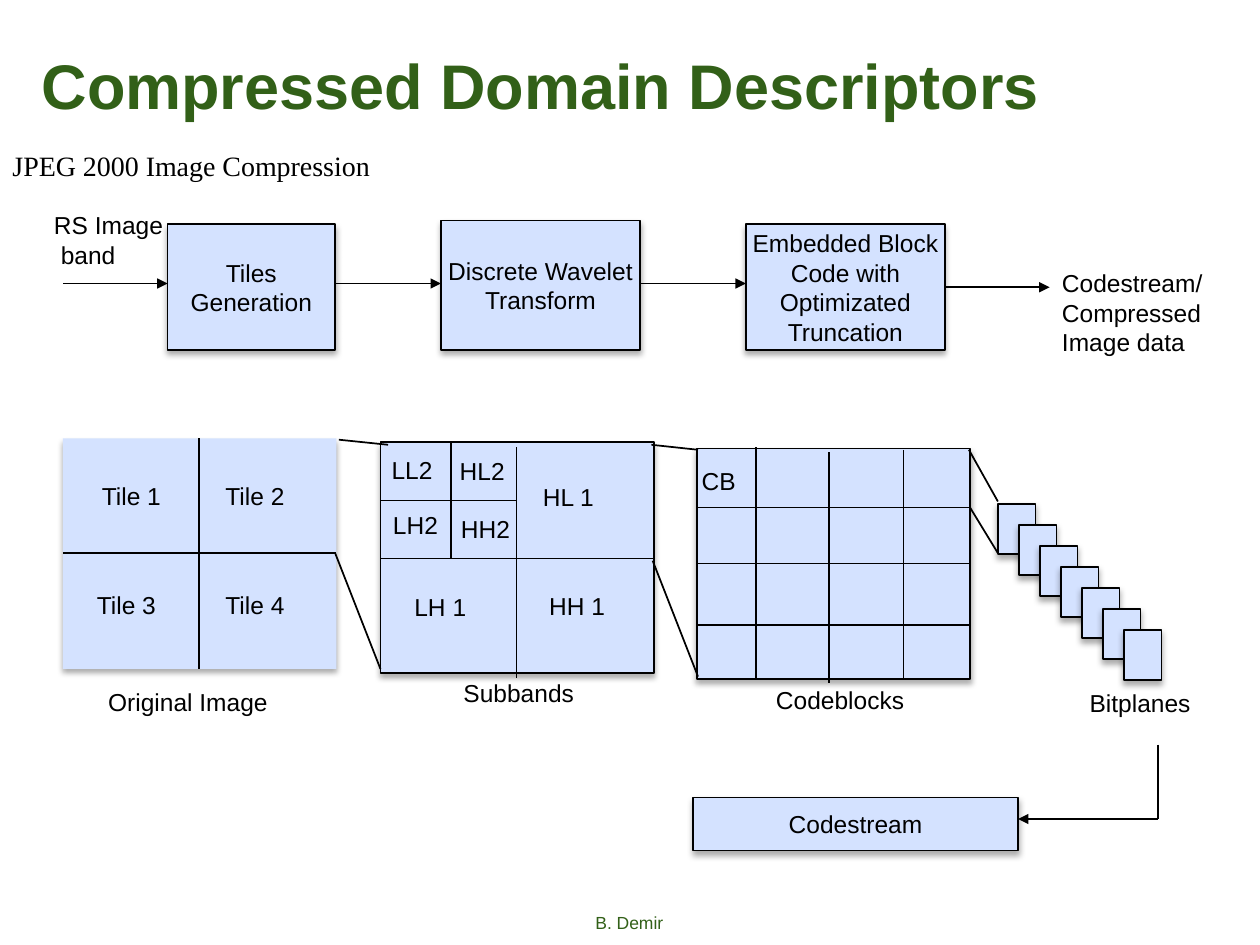
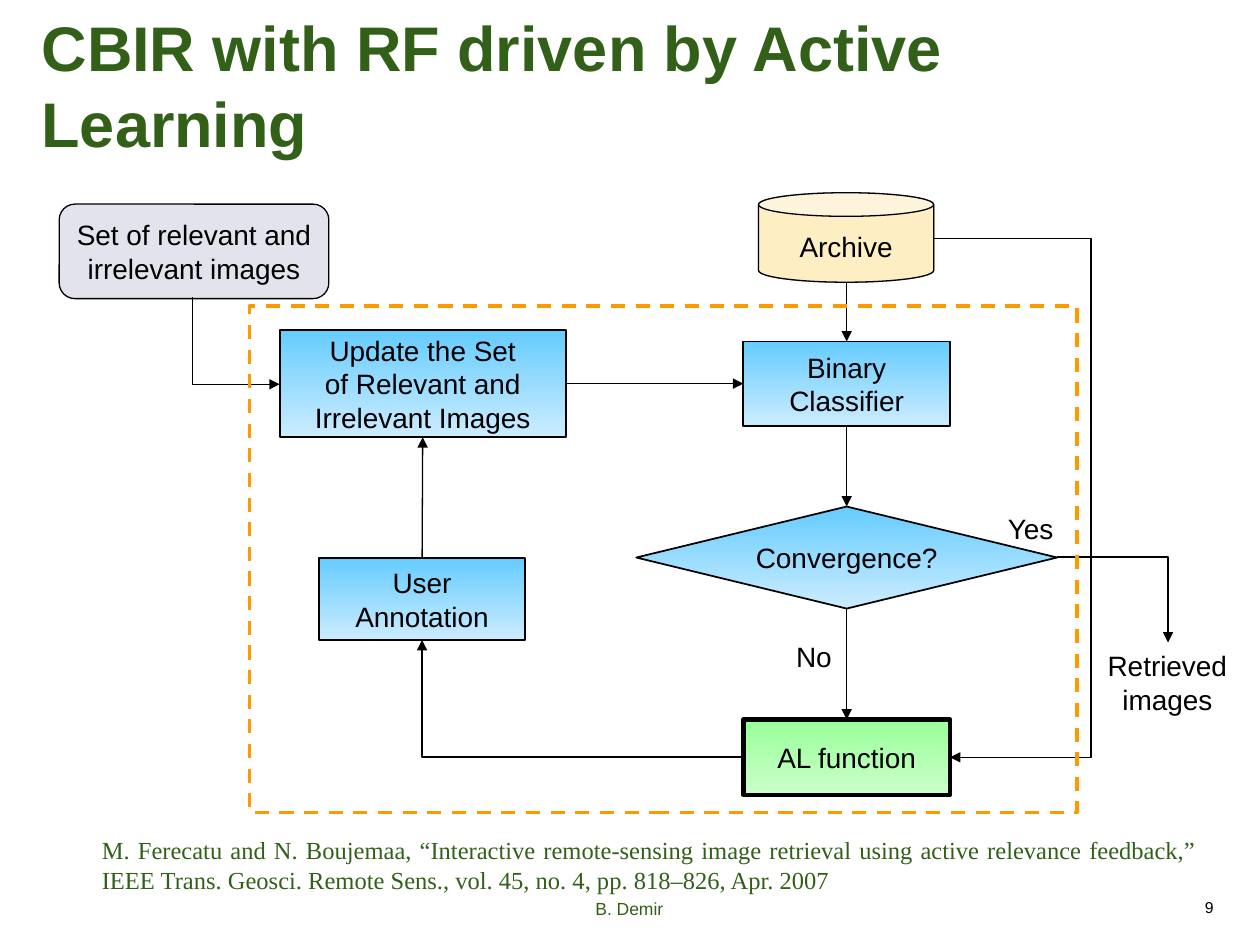
from lxml.etree import SubElement
from pptx import Presentation
from pptx.dml.color import RGBColor
from pptx.enum.dml import MSO_LINE
from pptx.enum.shapes import MSO_CONNECTOR as Route, MSO_SHAPE as Kind
from pptx.enum.text import MSO_ANCHOR, MSO_AUTO_SIZE, PP_ALIGN as Align
from pptx.oxml.ns import qn
from pptx.util import Inches, Pt

BLACK = RGBColor(0x00, 0x00, 0x00)
GREEN = RGBColor(0x32, 0x60, 0x18)
PALE_BLUE = RGBColor(0xD4, 0xE2, 0xFF)
CREAM = RGBColor(0xFD, 0xEE, 0xC3)
LAVENDER = RGBColor(0xE2, 0xE3, 0xEC)
ORANGE = RGBColor(0xFF, 0x99, 0x00)
BLUE_FADE = (RGBColor(0x66, 0xCC, 0xFF), RGBColor(0xCC, 0xEC, 0xFF))
GREEN_FADE = (RGBColor(0x99, 0xFF, 0x99), RGBColor(0xCB, 0xFF, 0xCB))
SOFT_SHADOW = {"blurRad": "44450", "dist": "27940", "dir": "5400000", "alpha": "32000"}
OUTLINE_SHADOW = {"blurRad": "0", "dist": "0", "dir": "0", "alpha": "40000"}


def add_block(slide, at, text="", kind=None, fill=None, border=1, shadow=None,
              size=14, align=None, wrap=True, color=BLACK, font="Arial"):
    """Add a text box, or a filled shape if a kind is given; two fill colours make a gradient."""
    at = [Inches(length) for length in at]
    if kind is None:
        block = slide.shapes.add_textbox(*at)
    else:
        block = slide.shapes.add_shape(kind, *at)
        align = align or Align.CENTER
        if fill is None:
            block.fill.background()
        elif isinstance(fill, RGBColor):
            block.fill.solid()
            block.fill.fore_color.rgb = fill
        else:
            block.fill.gradient()
            block.fill.gradient_angle = 270
            for stop, stop_color in zip(block.fill.gradient_stops, fill):
                stop.color.rgb = stop_color
        if border:
            block.line.color.rgb = BLACK
            block.line.width = Pt(border)
        else:
            block.line.fill.background()
        block.shadow.inherit = False
        if shadow:
            effects = block._element.spPr.find(qn("a:effectLst"))
            outer = SubElement(effects, qn("a:outerShdw"), rotWithShape="0",
                               **{key: shadow[key] for key in ("blurRad", "dist", "dir")})
            tint = SubElement(outer, qn("a:srgbClr"), val="000000")
            SubElement(tint, qn("a:alpha"), val=shadow["alpha"])
    if text:
        block.text_frame.text = text
        block.text_frame.word_wrap = wrap
        for paragraph in block.text_frame.paragraphs:
            paragraph.alignment = align
            paragraph.font.name = font
            paragraph.font.size = Pt(size)
            paragraph.font.color.rgb = color
    return block


def add_line(slide, start, end, width=0.75, arrow=None, route=Route.STRAIGHT):
    """Add a connector; arrow is "headEnd" (at start) or "tailEnd" (at end)."""
    line = slide.shapes.add_connector(route, *[Inches(n) for n in (*start, *end)])
    line.line.color.rgb = BLACK
    line.line.width = Pt(width)
    properties = line._element.spPr
    if arrow:
        SubElement(properties.find(qn("a:ln")), qn(f"a:{arrow}"), type="triangle")
    SubElement(properties, qn("a:effectLst"))
    return line


prs = Presentation()
prs.slide_width, prs.slide_height = Inches(10), Inches(7.5)

slides = []
for heading, heading_width, footer_top in (
    ("Compressed Domain Descriptors", 9.1, 7.19),
    ("CBIR with RF driven by Active Learning", 8.08, 7.08),
):
    slide = prs.slides.add_slide(prs.slide_layouts[5])
    title = slide.shapes.title
    title.left, title.top = Inches(0.23), Inches(0.36)
    title.width, title.height = Inches(heading_width), Inches(0.62)
    title.text_frame.text = heading
    title.text_frame.auto_size = MSO_AUTO_SIZE.NONE
    title.text_frame.vertical_anchor = MSO_ANCHOR.MIDDLE
    paragraph = title.text_frame.paragraphs[0]
    paragraph.alignment = Align.LEFT
    paragraph.font.name = "Arial"
    paragraph.font.size = Pt(36)
    paragraph.font.bold = True
    paragraph.font.color.rgb = GREEN
    add_block(slide, (3.38, footer_top, 3.23, 0.4), "B. Demir",
              size=10, align=Align.CENTER, color=GREEN)
    slides.append(slide)
compression, retrieval = slides

# Slide 1: processing chain
subtitle = add_block(compression, (0, 1, 3.58, 0.5), "JPEG 2000 Image Compression",
                     size=16, wrap=False, font="Times New Roman")
subtitle.text_frame.paragraphs[0].line_spacing = 1.5

steps = {}
for at, step in (
    ((1.33, 1.78, 1.33, 1), "Tiles\nGeneration"),
    ((3.5, 1.75, 1.58, 1.03), "Discrete Wavelet\nTransform"),
    ((5.92, 1.78, 1.58, 1), "Embedded Block\nCode with\nOptimizated\nTruncation"),
    ((5.5, 6.33, 2.58, 0.42), "Codestream"),
):
    steps[step.split()[0]] = add_block(compression, at, step, Kind.RECTANGLE, PALE_BLUE,
                                       shadow=SOFT_SHADOW, wrap=False)
for start_x, end_x in ((0.5, 1.33), (2.67, 3.5), (5.08, 5.92)):
    add_line(compression, (start_x, 2.25), (end_x, 2.25), 1, "tailEnd")
output_arrow = add_line(compression, (7.5, 2.28), (8.33, 2.28), 1, "tailEnd")
output_arrow.begin_connect(steps["Embedded"], 3)

# Slide 1: image, subbands, codeblocks and bitplanes
for left, top, border in ((0.5, 3.48, 0), (3.02, 3.51, 1), (5.53, 3.56, 1)):
    add_block(compression, (left, top, 2.17, 1.83), kind=Kind.RECTANGLE, fill=PALE_BLUE,
              border=border, shadow=SOFT_SHADOW)

for x, top, bottom in ((1.58, 3.48, 5.31), (4.1, 3.55, 5.38), (3.58, 3.51, 4.43),
                       (6, 3.55, 5.38), (6.58, 3.59, 5.42), (7.17, 3.57, 5.4)):
    add_line(compression, (x, top), (x, bottom))
for y, left, right in ((4.39, 0.5, 2.67), (4.43, 3.02, 5.19), (3.97, 3.02, 4.1),
                       (4.03, 5.53, 7.7), (4.47, 5.53, 7.7), (4.96, 5.53, 7.7)):
    add_line(compression, (left, y), (right, y))

for start, end in (
    ((2.69, 3.49), (3.08, 3.53)), ((2.66, 4.39), (3.02, 5.31)),
    ((5.17, 3.53), (5.54, 3.57)), ((5.18, 4.45), (5.54, 5.37)),
    ((7.69, 3.57), (7.92, 3.98)), ((7.7, 4.03), (7.92, 4.39)),
):
    add_line(compression, start, end, 1)

for plane in range(7):
    add_block(compression, (7.92 + plane / 6, 4 + plane / 6, 0.3, 0.4),
              kind=Kind.RECTANGLE, fill=PALE_BLUE, shadow=SOFT_SHADOW)

for left, top, width, label in (
    (0.33, 1.62, 2.25, "RS Image\n band"),
    (8.33, 2.08, 1.58, "Codestream/ Compressed Image data"),
    (0.71, 3.77, 0.92, "Tile 1"), (1.69, 3.77, 0.92, "Tile 2"),
    (0.67, 4.63, 0.92, "Tile 3"), (1.69, 4.63, 0.92, "Tile 4"),
    (3.19, 4.65, 0.92, "LH 1"), (4.21, 3.78, 0.92, "HL 1"), (4.26, 4.64, 0.92, "HH 1"),
    (3.01, 3.56, 0.57, "LL2"), (3.55, 3.57, 0.59, "HL2"),
    (3.02, 4, 0.92, "LH2"), (3.56, 4.03, 0.92, "HH2"),
    (5.47, 3.65, 0.92, "CB"),
    (0.76, 5.4, 2.25, "Original Image"), (3.58, 5.33, 1.22, "Subbands"),
    (6.06, 5.39, 1.34, "Codeblocks"), (8.55, 5.41, 1.34, "Bitplanes"),
):
    add_block(compression, (left, top, width, 0.34), label)

add_line(compression, (9.19, 5.91), (9.19, 6.5), 1)
add_line(compression, (9.19, 6.5), (8.08, 6.5), 1, "tailEnd")

# Slide 2: blocks of the feedback loop
update, classifier, convergence, al_function, annotation = [
    add_block(retrieval, at, text, kind, fill, border, size=16)
    for at, text, kind, fill, border in (
        ((2.22, 2.62, 2.27, 0.85), "Update the Set\nof Relevant and Irrelevant Images",
         Kind.RECTANGLE, BLUE_FADE, 1),
        ((5.9, 2.71, 1.64, 0.67), "Binary\nClassifier", Kind.RECTANGLE, BLUE_FADE, 1),
        ((5.05, 4.02, 3.34, 0.81), "Convergence?", Kind.FLOWCHART_DECISION, BLUE_FADE, 1),
        ((5.9, 5.71, 1.64, 0.6), "AL function", Kind.RECTANGLE, GREEN_FADE, 2.5),
        ((2.53, 4.43, 1.64, 0.65), "User Annotation", Kind.RECTANGLE, BLUE_FADE, 1),
    )
]
convergence.text_frame.word_wrap = False
archive = add_block(retrieval, (6.02, 1.53, 1.39, 0.71), "Archive", Kind.CAN, CREAM, 0.75,
                    OUTLINE_SHADOW, size=16)
archive.adjustments[0] = 0.264
archive.text_frame.margin_top = archive.text_frame.margin_bottom = 0
archive.text_frame.paragraphs[0].line_spacing = 1.15
add_block(retrieval, (0.47, 1.62, 2.14, 0.75), "Set of relevant and\nirrelevant images",
          Kind.ROUNDED_RECTANGLE, LAVENDER, 0.75, size=16, wrap=False)

# Slide 2: arrows
for source, source_side, target, target_side in (
    (classifier, 2, convergence, 0),
    (convergence, 2, al_function, 0),
    (annotation, 0, update, 2),
    (update, 3, classifier, 1),
):
    arrow = add_line(retrieval, (0, 0), (1, 1), arrow="tailEnd")
    arrow.begin_connect(source, source_side)
    arrow.end_connect(target, target_side)
archive_arrow = add_line(retrieval, (6.72, 2.24), (6.72, 2.71), arrow="tailEnd")
archive_arrow.end_connect(classifier, 0)

for start, end, arrow_end in (
    ((2.22, 3.05), (1.53, 2.36), "headEnd"),
    ((5.9, 6.01), (3.35, 5.08), "tailEnd"),
    ((8.39, 4.42), (9.27, 5.1), "tailEnd"),
):
    corner = add_line(retrieval, start, end, arrow=arrow_end, route=Route.ELBOW)
    corner._element.spPr.find(qn("a:prstGeom")).set("prst", "bentConnector2")

detour = add_line(retrieval, (7.41, 1.89), (7.54, 6.01), arrow="tailEnd", route=Route.ELBOW)
bend = detour._element.spPr.find(qn("a:prstGeom")).find(qn("a:avLst"))
SubElement(bend, qn("a:gd"), name="adj1", fmla="val 962000")

loop_frame = add_block(retrieval, (1.98, 2.43, 6.57, 4.02), kind=Kind.RECTANGLE, border=2)
loop_frame.line.color.rgb = ORANGE
loop_frame.line.dash_style = MSO_LINE.DASH

# Slide 2: labels, citation and page number
for at, label in (
    ((8.66, 5.1, 1.21, 0.64), "Retrieved\nimages"),
    ((6.22, 5.03, 0.48, 0.37), "No"),
    ((7.89, 4.01, 0.58, 0.37), "Yes"),
):
    add_block(retrieval, at, label, size=16, align=Align.CENTER, wrap=False)
add_block(retrieval, (0.71, 6.58, 8.89, 0.5),
          "M. Ferecatu and N. Boujemaa, “Interactive remote-sensing image retrieval using "
          "active relevance feedback,” IEEE Trans. Geosci. Remote Sens., vol. 45, no. 4, "
          "pp. 818–826, Apr. 2007",
          align=Align.JUSTIFY, color=GREEN, font="Times New Roman")
add_block(retrieval, (7.4, 7.08, 2.33, 0.4), "9", size=9, align=Align.RIGHT)

prs.save("out.pptx")
